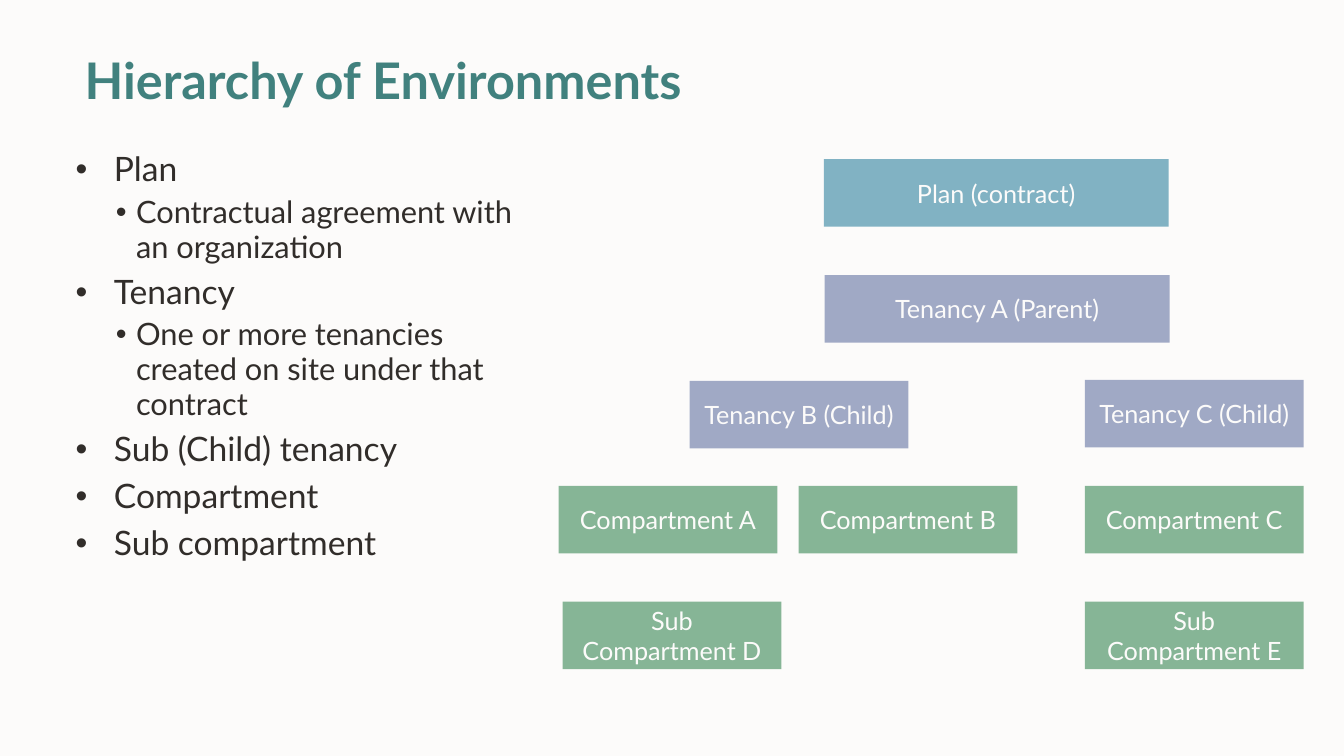
from dataclasses import dataclass

from lxml import etree
from pptx import Presentation
from pptx.dml.color import RGBColor
from pptx.enum.shapes import MSO_SHAPE
from pptx.enum.text import MSO_ANCHOR, MSO_AUTO_SIZE, PP_ALIGN
from pptx.oxml.ns import qn
from pptx.util import Inches, Pt

RECT = MSO_SHAPE.RECTANGLE
LEFT, CENTER = PP_ALIGN.LEFT, PP_ALIGN.CENTER
TOP, MIDDLE, BOTTOM = MSO_ANCHOR.TOP, MSO_ANCHOR.MIDDLE, MSO_ANCHOR.BOTTOM
NO_FIT = MSO_AUTO_SIZE.NONE


@dataclass(frozen=True)
class Theme:
    font: str = "Lato"
    paper: str = "FCFBFA"
    title: str = "41817E"
    ink: str = "312D2A"
    plan: str = "81B2C3"
    tenancy: str = "A0A9C5"
    compartment: str = "86B596"
    title_size: int = 36
    list_sizes: tuple = (24, 22)
    box_size: int = 18
    line_spacing: float = 0.95


THEME = Theme()
SLIDE = (13.33, 7.5)
TITLE = "Hierarchy of Environments"
TITLE_AREA = (0.84, 0.2, 11.67, 0.9)
LIST_AREA = (0.75, 1.5, 4.33, 4.94)

LIST = [
    (0, "Plan"),
    (1, "Contractual agreement with an organization"),
    (0, "Tenancy"),
    (1, "One or more tenancies created on site under that contract"),
    (0, "Sub (Child) tenancy"),
    (0, "Compartment"),
    (0, "Sub compartment"),
]
LEVELS = [(0.38, -0.38, 6), (0.6, -0.2, 4)]

ROWS = {"plan": 1.58, "parent": 2.73, "child": 3.78, "compartment": 4.82, "sub": 5.97}
COLUMNS = {"first": 5.54, "branch": 6.84, "second": 7.92, "trunk": 8.17, "last": 10.76}
WIDE, NARROW, BOX_HEIGHT = 3.42, 2.17, 0.67
NUDGE = 0.01

BOXES = [
    ("Plan (contract)", "trunk", "plan", WIDE, THEME.plan, (0, 0)),
    ("Tenancy A (Parent)", "trunk", "parent", WIDE, THEME.tenancy, (1, 0)),
    ("Tenancy B (Child)", "branch", "child", NARROW, THEME.tenancy, (0, 0)),
    ("Tenancy C (Child)", "last", "child", NARROW, THEME.tenancy, (0, -1)),
    ("Compartment A", "first", "compartment", NARROW, THEME.compartment, (0, 0)),
    ("Compartment B", "second", "compartment", NARROW, THEME.compartment, (0, 0)),
    ("Compartment C", "last", "compartment", NARROW, THEME.compartment, (0, 0)),
    ("Sub Compartment D", "first", "sub", NARROW, THEME.compartment, (4, 0)),
    ("Sub Compartment E", "last", "sub", NARROW, THEME.compartment, (0, 0)),
]


def rgb(value):
    return RGBColor.from_string(value)


def add_run(p, text, size, color, bold=False):
    r = p.add_run()
    r.text = text
    r.font.name = THEME.font
    r.font.size = Pt(size)
    r.font.bold = bold
    r.font.color.rgb = rgb(color)


def place(sp, area, anchor):
    sp.left, sp.top, sp.width, sp.height = map(Inches, area)
    tf = sp.text_frame
    tf.margin_left = tf.margin_right = tf.margin_top = tf.margin_bottom = 0
    tf.word_wrap = True
    tf.auto_size = NO_FIT
    tf.vertical_anchor = anchor
    return tf


def set_bullet(p, level):
    margin, indent, _ = LEVELS[level]
    pPr = p._p.get_or_add_pPr()
    pPr.set("marL", str(Inches(margin)))
    pPr.set("indent", str(Inches(indent)))
    etree.SubElement(pPr, qn("a:buFont"), typeface="Arial")
    etree.SubElement(pPr, qn("a:buChar"), char="•")


def add_title(slide):
    p = place(slide.shapes.title, TITLE_AREA, BOTTOM).paragraphs[0]
    p.alignment = LEFT
    p.line_spacing = THEME.line_spacing
    add_run(p, TITLE, THEME.title_size, THEME.title, True)


def add_list(slide):
    tf = place(slide.placeholders[1], LIST_AREA, TOP)
    for i, (level, text) in enumerate(LIST):
        p = tf.add_paragraph() if i else tf.paragraphs[0]
        p.level = level
        set_bullet(p, level)
        p.line_spacing = THEME.line_spacing
        p.space_before = Pt(LEVELS[level][2] if i else 0)
        add_run(p, text, THEME.list_sizes[level], THEME.ink)


def add_box(slide, text, column, row, width, color, shift):
    x = COLUMNS[column] + shift[0] * NUDGE
    y = ROWS[row] + shift[1] * NUDGE
    sp = slide.shapes.add_shape(RECT, *map(Inches, (x, y, width, BOX_HEIGHT)))
    sp.shadow.inherit = False
    sp.fill.solid()
    sp.fill.fore_color.rgb = rgb(color)
    sp.line.fill.background()
    tf = sp.text_frame
    tf.word_wrap = True
    tf.vertical_anchor = MIDDLE
    p = tf.paragraphs[0]
    p.alignment = CENTER
    add_run(p, text, THEME.box_size, THEME.paper)


def main():
    prs = Presentation()
    prs.slide_width, prs.slide_height = map(Inches, SLIDE)
    slide = prs.slides.add_slide(prs.slide_layouts[1])
    slide.background.fill.solid()
    slide.background.fill.fore_color.rgb = rgb(THEME.paper)
    add_title(slide)
    add_list(slide)
    for box in BOXES:
        add_box(slide, *box)
    prs.save("out.pptx")


if __name__ == "__main__":
    main()
